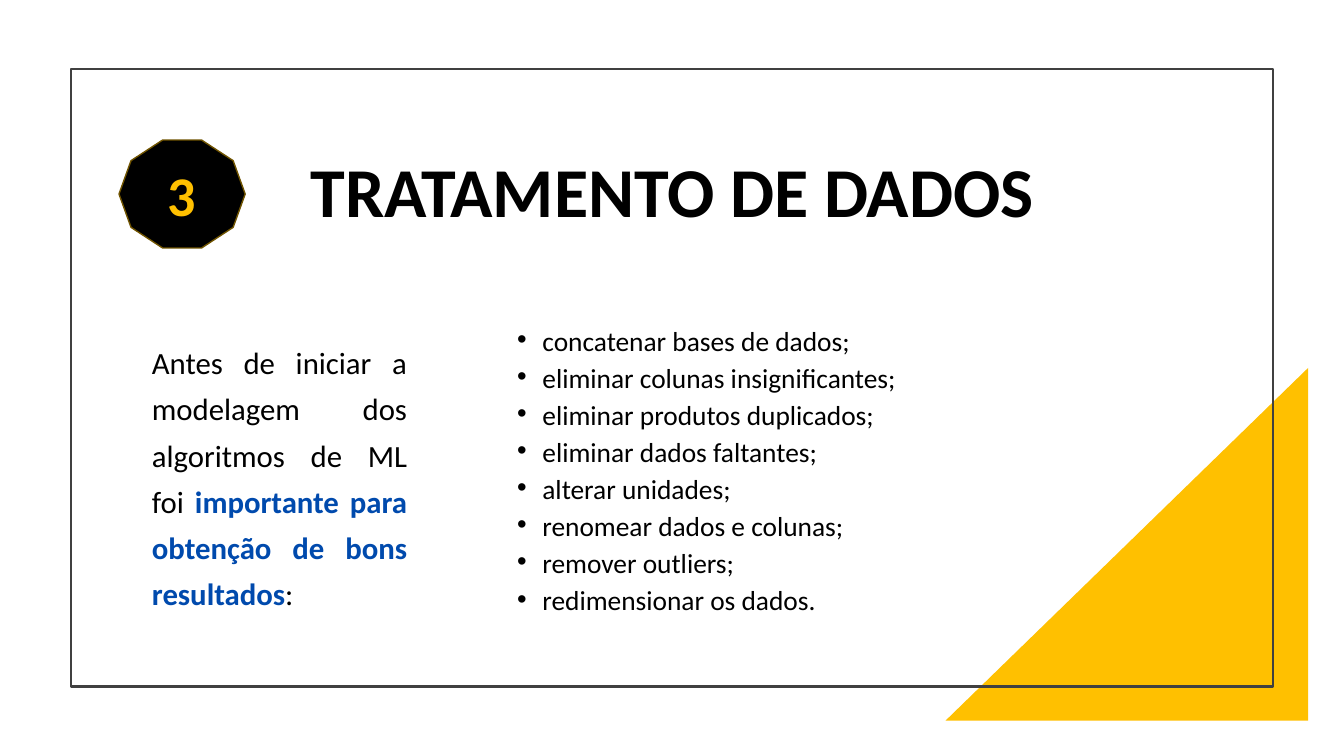
import pptx
import pptx.util
import pptx.dml.color
import pptx.enum.shapes
import pptx.enum.text
import lxml.etree

Cm, Pt = pptx.util.Cm, pptx.util.Pt
SHAPE = pptx.enum.shapes.MSO_SHAPE
ALIGN = pptx.enum.text.PP_ALIGN
MIDDLE = pptx.enum.text.MSO_ANCHOR.MIDDLE
BLACK, YELLOW, BLUE = "000000", "FFC000", "004AAD"


def rgb(value):
    return pptx.dml.color.RGBColor.from_string(value)


def add_run(p, text, size, color=BLACK, bold=False):
    r = p.add_run()
    r.text = text
    r.font.name = "Calibri"
    r.font.size = Pt(size)
    r.font.bold = bold
    r.font.color.rgb = rgb(color)


prs = pptx.Presentation()
prs.slide_width, prs.slide_height = Cm(33.87), Cm(19.05)
s = prs.slides.add_slide(prs.slide_layouts[5])

shapes = []
for kind, box, fill, line, width in [
    (SHAPE.RIGHT_TRIANGLE, (23.83, 9.27, 9.14, 8.89), YELLOW, None, 0),
    (SHAPE.RECTANGLE, (1.78, 1.73, 30.3, 15.57), None, "404040", 1.5),
    (SHAPE.DECAGON, (3, 3.53, 3.18, 2.72), BLACK, "705400", 1),
]:
    sp = s.shapes.add_shape(kind, *[Cm(v) for v in box])
    sp.shadow.inherit = False
    if fill:
        sp.fill.solid()
        sp.fill.fore_color.rgb = rgb(fill)
    else:
        sp.fill.background()
    if line:
        sp.line.color.rgb = rgb(line)
        sp.line.width = Pt(width)
    else:
        sp.line.fill.background()
    shapes.append(sp)
triangle, frame, badge = shapes
triangle._element.spPr.xfrm.set("flipH", "1")

title = s.shapes.title
title.left, title.top, title.width, title.height = Cm(3), Cm(2.67), Cm(27.89), Cm(4.5)
title.text_frame.vertical_anchor = MIDDLE
p = title.text_frame.paragraphs[0]
p.alignment = ALIGN.CENTER
p.line_spacing = 0.9
add_run(p, "TRATAMENTO DE DADOS", 50, bold=True)

badge.text_frame.vertical_anchor = MIDDLE
p = badge.text_frame.paragraphs[0]
p.alignment = ALIGN.CENTER
p.space_after = Pt(6)
add_run(p, "3", 40, YELLOW, True)

intro = s.shapes.add_textbox(Cm(3.58), Cm(8.31), Cm(6.93), Cm(7.77))
intro.text_frame.word_wrap = True
p = intro.text_frame.paragraphs[0]
p.alignment = ALIGN.JUSTIFY
p.line_spacing = 1.25
p.space_before = Pt(10)
add_run(p, "Antes de iniciar a modelagem dos algoritmos de ML foi ", 22)
add_run(p, "importante para obtenção de bons resultados", 22, BLUE, True)
add_run(p, ":", 22)

steps = s.shapes.add_textbox(Cm(12.78), Cm(8.26), Cm(13.21), Cm(7.77))
tf = steps.text_frame
tf.word_wrap = True
for i, text in enumerate([
    "concatenar bases de dados;",
    "eliminar colunas insignificantes;",
    "eliminar produtos duplicados;",
    "eliminar dados faltantes;",
    "alterar unidades;",
    "renomear dados e colunas;",
    "remover outliers;",
    "redimensionar os dados.",
]):
    p = tf.add_paragraph() if i else tf.paragraphs[0]
    p.line_spacing = 0.7
    p.space_before = Pt(10)
    pPr = p._p.get_or_add_pPr()
    pPr.set("marL", str(Cm(0.64)))
    pPr.set("indent", str(-Cm(0.64)))
    for tag, key, value in [("buFont", "typeface", "Arial"), ("buChar", "char", "•")]:
        lxml.etree.SubElement(pPr, pptx.oxml.ns.qn("a:" + tag)).set(key, value)
    add_run(p, text, 19.6)

prs.save("out.pptx")
